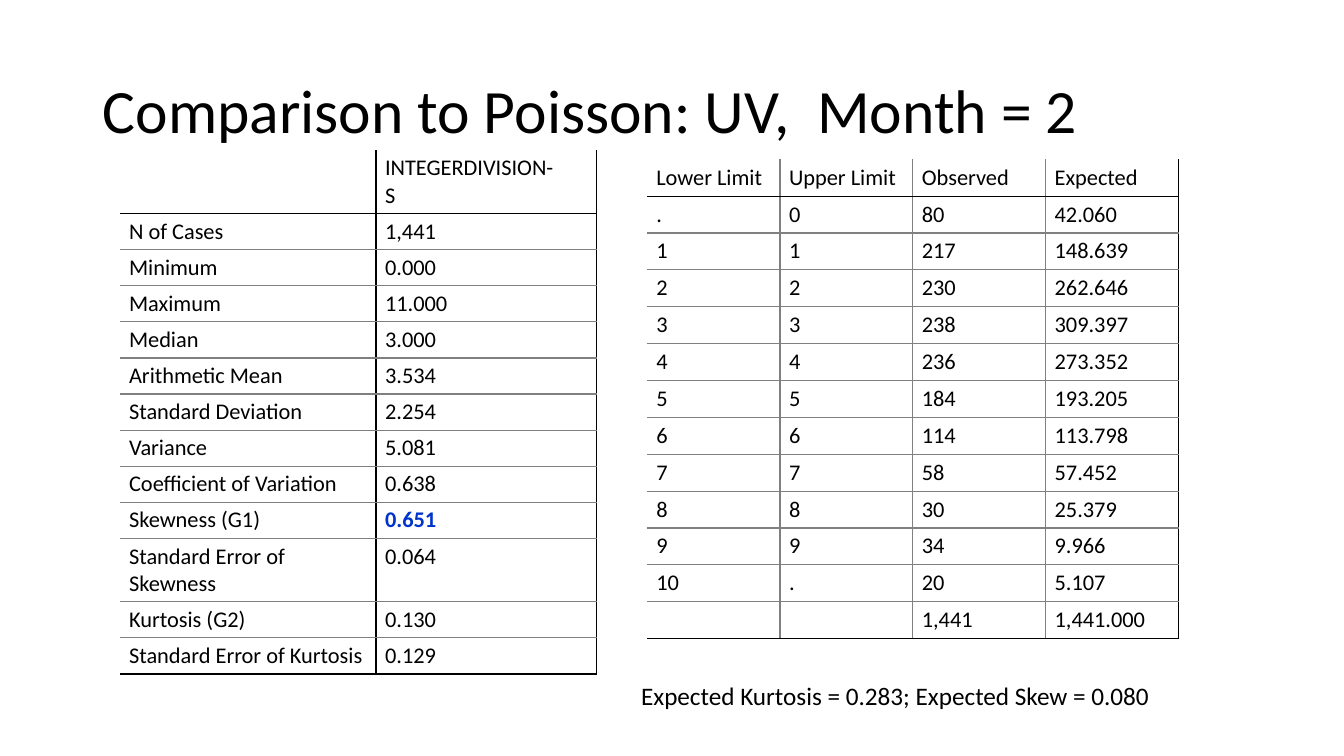
from lxml.etree import SubElement
from pptx import Presentation
from pptx.dml.color import RGBColor
from pptx.enum.text import MSO_ANCHOR as Anchor, MSO_AUTO_SIZE as AutoSize
from pptx.oxml.ns import qn
from pptx.util import Inches, Pt

BLACK, GREY, BLUE = "000000", "808080", "0033CC"

STATISTICS = [
    ("", "INTEGERDIVISION-\nS"),
    ("N of Cases", "1,441"),
    ("Minimum", "0.000"),
    ("Maximum", "11.000"),
    ("Median", "3.000"),
    ("Arithmetic Mean", "3.534"),
    ("Standard Deviation", "2.254"),
    ("Variance", "5.081"),
    ("Coefficient of Variation", "0.638"),
    ("Skewness (G1)", "0.651"),
    ("Standard Error of Skewness", "0.064"),
    ("Kurtosis (G2)", "0.130"),
    ("Standard Error of Kurtosis", "0.129"),
]
FREQUENCIES = [
    ("Lower Limit", "Upper Limit", "Observed", "Expected"),
    (".", "0", "80", "42.060"),
    ("1", "1", "217", "148.639"),
    ("2", "2", "230", "262.646"),
    ("3", "3", "238", "309.397"),
    ("4", "4", "236", "273.352"),
    ("5", "5", "184", "193.205"),
    ("6", "6", "114", "113.798"),
    ("7", "7", "58", "57.452"),
    ("8", "8", "30", "25.379"),
    ("9", "9", "34", "9.966"),
    ("10", ".", "20", "5.107"),
    ("", "", "1,441", "1,441.000"),
]


def rgb(value):
    return RGBColor.from_string(value)


def write(tf, text, size=16, color=BLACK, bold=False, font="Calibri", spacing=None):
    """Fill the first paragraph; a newline in the text is a line break."""
    p = tf.paragraphs[0]
    if spacing:
        p.line_spacing = spacing
    if not text:
        SubElement(p._p, qn("a:endParaRPr"), sz=str(size * 100))
        return
    for i, line in enumerate(text.split("\n")):
        if i:
            p.add_line_break()
        r = p.add_run()
        r.text = line
        r.font.name, r.font.size, r.font.bold = font, Pt(size), bold
        r.font.color.rgb = rgb(color)


def set_borders(cell, **colors):
    """Draw the sides L, R, T, B in the given colours; None hides a side."""
    tc_pr = cell._tc.get_or_add_tcPr()
    for side in "LRTB":
        ln = SubElement(tc_pr, qn(f"a:ln{side}"), w=str(Pt(1)))
        if colors[side]:
            fill = SubElement(ln, qn("a:solidFill"))
            SubElement(fill, qn("a:srgbClr"), val=colors[side])
        else:
            SubElement(ln, qn("a:noFill"))


class Deck:
    """Places elements on the slide; lengths are percentages of its size."""

    def __init__(self, width, height):
        self.prs = Presentation()
        self.prs.slide_width, self.prs.slide_height = Inches(width), Inches(height)
        self.s = self.prs.slides.add_slide(self.prs.slide_layouts[5])

    def x(self, share):
        return round(self.prs.slide_width * share / 100)

    def y(self, share):
        return round(self.prs.slide_height * share / 100)

    def box(self, left, top, width, height):
        return self.x(left), self.y(top), self.x(width), self.y(height)

    def title(self, text, *place):
        sp = self.s.shapes.title
        sp.left, sp.top, sp.width, sp.height = self.box(*place)
        tf = sp.text_frame
        tf.vertical_anchor = Anchor.MIDDLE
        tf.paragraphs[0].alignment = 1
        write(tf, text, size=44, spacing=0.9)

    def note(self, text, *place):
        tf = self.s.shapes.add_textbox(*self.box(*place)).text_frame
        tf.word_wrap = False
        tf.auto_size = AutoSize.SHAPE_TO_FIT_TEXT
        write(tf, text, size=18)

    def table(self, data, left, top, widths, heights, inner, inset, accents=()):
        """Ruled table: black header rule, right and bottom edges, grey rows."""
        place = self.box(left, top, sum(widths), sum(heights))
        table = self.s.shapes.add_table(len(data), len(widths), *place).table
        table.first_row = table.horz_banding = False
        for column, width in zip(table.columns, widths):
            column.width = self.x(width)
        for row, height in zip(table.rows, heights):
            row.height = self.y(height)
        last_row, last_col = len(data) - 1, len(widths) - 1
        rules = [None, BLACK] + [GREY] * (last_row - 1) + [BLACK]
        edges = [None] + [inner] * last_col + [BLACK]
        for i, values in enumerate(data):
            for j, text in enumerate(values):
                cell = table.cell(i, j)
                set_borders(cell, L=edges[j], R=edges[j + 1], T=rules[i], B=rules[i + 1])
                cell.fill.background()
                cell.margin_left = cell.margin_right = Inches(0.09)
                cell.margin_top = cell.margin_bottom = Pt(inset)
                accent = (i, j) in accents
                write(cell.text_frame, text, color=BLUE if accent else BLACK, bold=accent)


def main():
    deck = Deck(13.33, 7.5)
    deck.title("Comparison to Poisson: UV,  Month = 2", 6.9, 5.33, 86.27, 19.33)
    deck.table(STATISTICS, 8.93, 19.87, [19.05, 16.43], [8.13] + [4.67] * 12,
               inner=BLACK, inset=3.1, accents={(9, 1)})
    deck.table(FREQUENCIES, 48.16, 21.07, [9.88] * 4, [4.88] * 13,
               inner=GREY, inset=3.3)
    deck.note("Expected Kurtosis = 0.283; Expected Skew = 0.080",
              46.96, 89.33, 39.76, 5.33)
    deck.prs.save("out.pptx")


if __name__ == "__main__":
    main()
